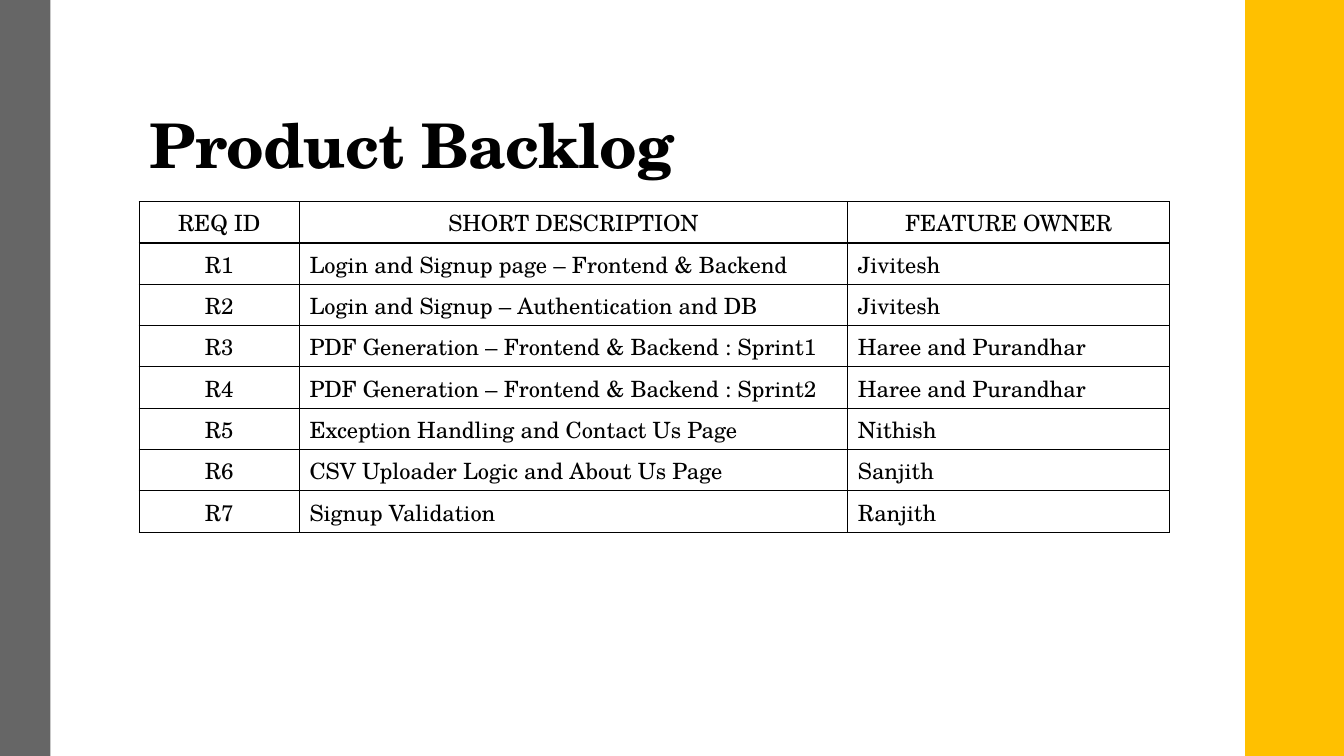
import pptx
import pptx.dml.color
import pptx.enum.shapes
import pptx.enum.text
import pptx.oxml
import pptx.oxml.ns
import pptx.util

Inches = pptx.util.Inches
FONT = "TeX Gyre Schola"
INK = "000000"
WIDE, HIGH = 13.33, 7.5
LEFT = 1.38


def color(code):
    return pptx.dml.color.RGBColor.from_string(code)


def write(para, text, size, bold=False):
    run = para.add_run()
    run.text = text
    run.font.name = FONT
    run.font.size = pptx.util.Pt(size)
    run.font.bold = bold
    run.font.color.rgb = color(INK)
    return run


deck = pptx.Presentation()
deck.slide_width = Inches(WIDE)
deck.slide_height = Inches(HIGH)
slide = deck.slides.add_slide(deck.slide_layouts[6])

# Side bands
for left, width, code in [(WIDE - 0.98, 0.98, "FFC000"), (0, 0.5, "666666")]:
    band = slide.shapes.add_shape(
        pptx.enum.shapes.MSO_SHAPE.RECTANGLE,
        Inches(left), 0, Inches(width), Inches(HIGH))
    band.shadow.inherit = False
    band.fill.solid()
    band.fill.fore_color.rgb = color(code)
    band.line.fill.background()

# Title
title = slide.shapes.add_textbox(
    Inches(LEFT), Inches(0.32), Inches(10.6), Inches(1.53))
frame = title.text_frame
frame.word_wrap = True
frame.vertical_anchor = pptx.enum.text.MSO_ANCHOR.BOTTOM
frame.margin_top = Inches(0.03)
frame.margin_bottom = Inches(0.05)
head = frame.paragraphs[0]
head.line_spacing = 0.9
run = write(head, "Product Backlog", 44, True)
run.font._element.set("spc", "-50")

# Backlog table
items = [
    ("REQ ID", "SHORT DESCRIPTION", "FEATURE OWNER"),
    ("R1", "Login and Signup page – Frontend & Backend", "Jivitesh"),
    ("R2", "Login and Signup – Authentication and DB", "Jivitesh"),
    ("R3", "PDF Generation – Frontend & Backend : Sprint1", "Haree and Purandhar"),
    ("R4", "PDF Generation – Frontend & Backend : Sprint2", "Haree and Purandhar"),
    ("R5", "Exception Handling and Contact Us Page", "Nithish"),
    ("R6", "CSV Uploader Logic and About Us Page", "Sanjith"),
    ("R7", "Signup Validation", "Ranjith"),
]
cols = [1.59, 5.44, 3.19]
step = 0.41
grid = slide.shapes.add_table(
    len(items), len(cols), Inches(LEFT), Inches(2),
    Inches(sum(cols)), Inches(step * len(items))).table
grid.first_row = False
grid.horz_banding = False
for col, width in zip(grid.columns, cols):
    col.width = Inches(width)

space = pptx.oxml.ns.nsdecls("a")
for r, item in enumerate(items):
    grid.rows[r].height = Inches(step)
    for c, text in enumerate(item):
        cell = grid.cell(r, c)
        props = cell._tc.get_or_add_tcPr()
        for side in "LRTB":
            props.append(pptx.oxml.parse_xml(
                f'<a:ln{side} {space} w="12700"><a:solidFill>'
                f'<a:srgbClr val="{INK}"/></a:solidFill></a:ln{side}>'))
        cell.fill.background()
        para = cell.text_frame.paragraphs[0]
        if r == 0 or c == 0:
            para.alignment = pptx.enum.text.PP_ALIGN.CENTER
        write(para, text, 16)

deck.save("out.pptx")
